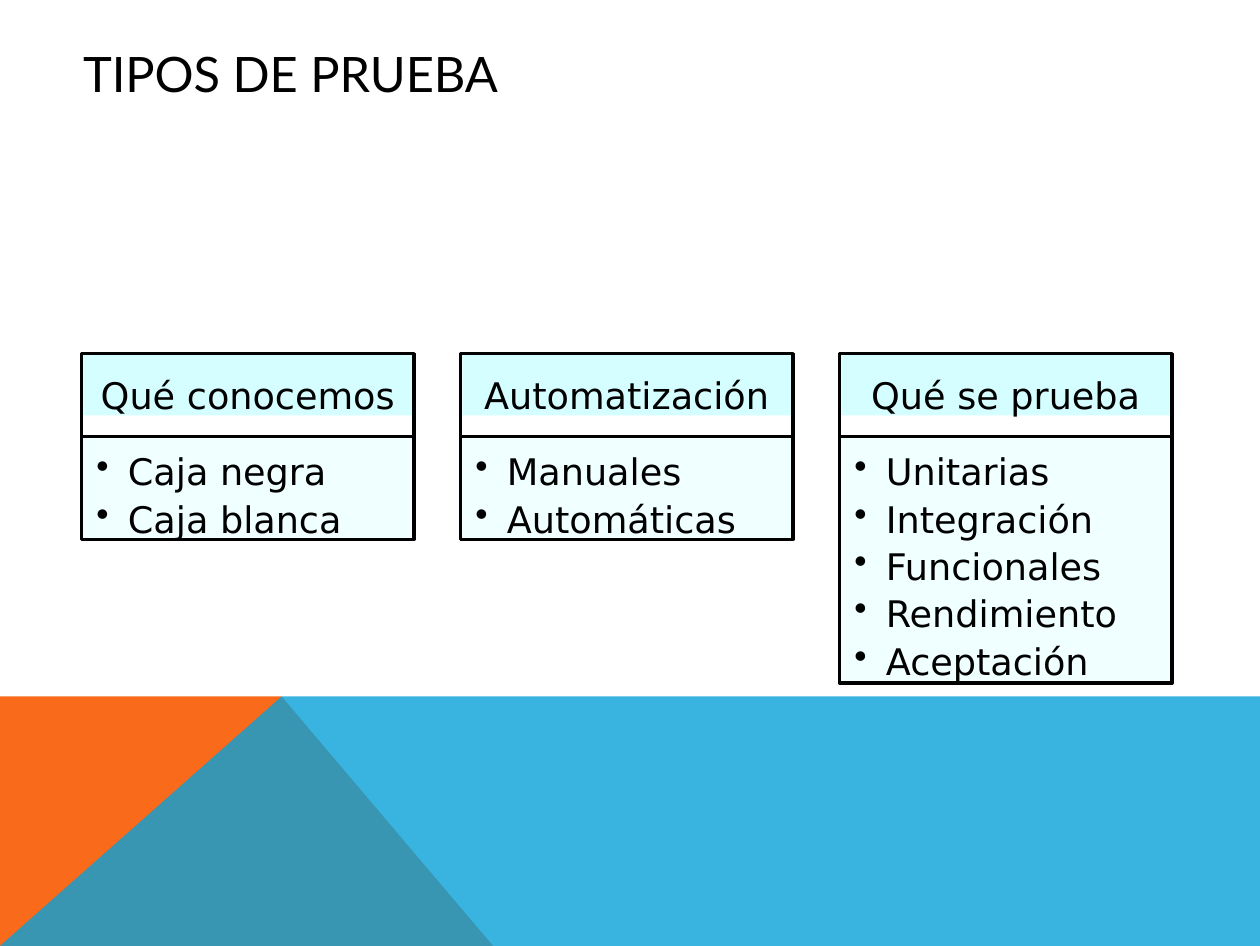
from dataclasses import dataclass

from lxml import etree
from pptx import Presentation
from pptx.dml.color import RGBColor
from pptx.enum.shapes import MSO_SHAPE
from pptx.enum.text import MSO_ANCHOR, MSO_AUTO_SIZE, PP_ALIGN
from pptx.oxml.ns import qn
from pptx.util import Cm, Pt

RECTANGLE = MSO_SHAPE.RECTANGLE
TOP, MIDDLE = MSO_ANCHOR.TOP, MSO_ANCHOR.MIDDLE
LEFT, CENTER = PP_ALIGN.LEFT, PP_ALIGN.CENTER
NO_AUTOFIT = MSO_AUTO_SIZE.NONE


@dataclass(frozen=True)
class Theme:
    ink: str = "000000"
    header: str = "D4FEFF"
    panel: str = "EFFFFF"
    orange: str = "F96A1B"
    blue: str = "08A1D9"
    title_font: str = "Lato"
    body_font: str = "DejaVu Sans"
    title_size: int = 28
    body_size: int = 21
    border: int = 2


THEME = Theme()
SLIDE_WIDTH, SLIDE_HEIGHT = 25.5, 19.15
CARD_LEFT, CARD_TOP, CARD_WIDTH, CARD_PITCH = 1.65, 7.16, 6.73, 7.67
HEADER_HEIGHT, LINE_HEIGHT, LIST_PADDING = 1.68, 0.97, 0.14
CARDS = [
    ("Qué conocemos", ["Caja negra", "Caja blanca"]),
    ("Automatización", ["Manuales", "Automáticas"]),
    ("Qué se prueba", ["Unitarias", "Integración", "Funcionales",
                       "Rendimiento", "Aceptación"]),
]


def style_shape(shape, fill=None, opacity=100, border=False):
    shape.shadow.inherit = False
    if fill:
        shape.fill.solid()
        shape.fill.fore_color.rgb = RGBColor.from_string(fill)
        if opacity < 100:
            color = shape.fill._xPr.find(qn("a:solidFill"))[0]
            etree.SubElement(color, qn("a:alpha")).set("val", str(opacity * 1000))
    else:
        shape.fill.background()
    if border:
        shape.line.color.rgb = RGBColor.from_string(THEME.ink)
        shape.line.width = Pt(THEME.border)
    else:
        shape.line.fill.background()


def add_rectangle(page, left, top, width, height, **style):
    box = page.shapes.add_shape(RECTANGLE, Cm(left), Cm(top), Cm(width), Cm(height))
    style_shape(box, **style)
    return box


def add_polygon(page, points, **style):
    corners = [(Cm(x), Cm(y)) for x, y in points]
    builder = page.shapes.build_freeform(*corners[0])
    builder.add_line_segments(corners[1:], close=True)
    style_shape(builder.convert_to_shape(), **style)


def write_text(box, lines, font, size, align, anchor, inset_top=0):
    frame = box.text_frame
    frame.word_wrap = True
    frame.auto_size = NO_AUTOFIT
    frame.vertical_anchor = anchor
    frame.margin_left = frame.margin_right = frame.margin_bottom = 0
    frame.margin_top = Cm(inset_top)
    frame.text = "\n".join(lines)
    for para in frame.paragraphs:
        para.alignment = align
        for span in para.runs:
            span.font.name = font
            span.font.size = Pt(size)
            span.font.color.rgb = RGBColor.from_string(THEME.ink)


def add_bullets(box):
    for index, para in enumerate(box.text_frame.paragraphs):
        if index:
            para.space_before = Pt(2)
        properties = para._p.get_or_add_pPr()
        properties.set("marL", str(Cm(0.94)))
        properties.set("indent", str(Cm(-0.64)))
        etree.SubElement(properties, qn("a:buChar")).set("char", "•")


def add_footer(page, left, top, width, height):
    right, bottom, apex = left + width, top + height, left + 5.7
    add_polygon(page, [(left, bottom), (left, top), (apex, top), (left + 9.98, bottom)],
                fill=THEME.orange)
    add_polygon(page, [(left, bottom), (apex, top), (right, top), (right, bottom)],
                fill=THEME.blue, opacity=80)


def add_title(page, left, top, width, height):
    title = page.shapes.title
    title.left, title.top, title.width, title.height = map(Cm, (left, top, width, height))
    write_text(title, ["TIPOS DE PRUEBA"], THEME.title_font, THEME.title_size, LEFT, MIDDLE)


def add_card(page, left, top, width, heading, items):
    add_rectangle(page, left, top, width, HEADER_HEIGHT, border=True)
    header = add_rectangle(page, left + 0.04, top + 0.03, width - 0.08, 1.22,
                           fill=THEME.header)
    write_text(header, [heading], THEME.body_font, THEME.body_size, CENTER, TOP, 0.35)
    panel = add_rectangle(page, left, top + HEADER_HEIGHT, width,
                          LIST_PADDING + LINE_HEIGHT * len(items),
                          fill=THEME.panel, opacity=90, border=True)
    write_text(panel, items, THEME.body_font, THEME.body_size, LEFT, TOP, 0.25)
    add_bullets(panel)


def main():
    deck = Presentation()
    deck.slide_width, deck.slide_height = Cm(SLIDE_WIDTH), Cm(SLIDE_HEIGHT)
    page = deck.slides.add_slide(deck.slide_layouts.get_by_name("Title Only"))
    add_footer(page, 0, 14.1, SLIDE_WIDTH, SLIDE_HEIGHT - 14.1)
    add_title(page, 1.68, 0.69, 10.85, 1.57)
    for index, (heading, items) in enumerate(CARDS):
        add_card(page, CARD_LEFT + index * CARD_PITCH, CARD_TOP, CARD_WIDTH, heading, items)
    deck.save("out.pptx")


if __name__ == "__main__":
    main()
